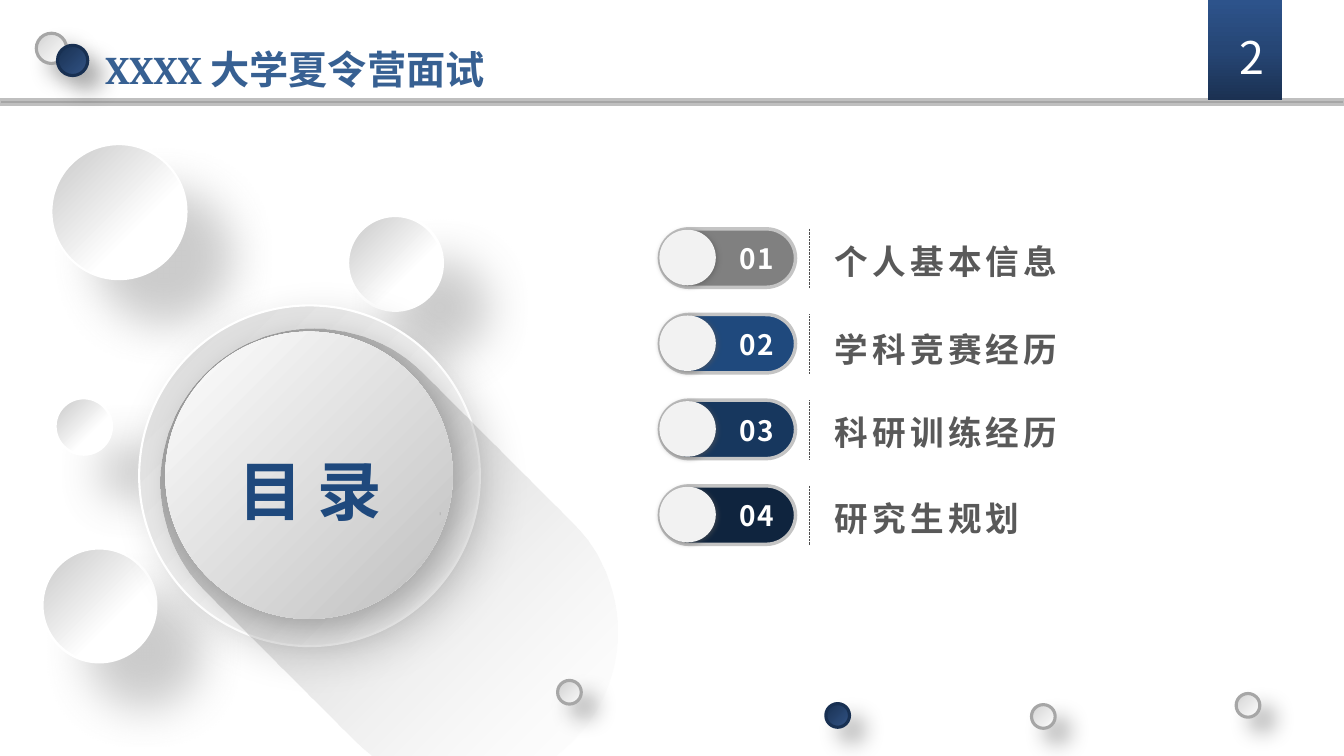
from lxml import etree
from pptx import Presentation
from pptx import util as u
from pptx.dml.color import RGBColor
from pptx.enum import dml, shapes, text
from pptx.oxml import parse_xml
from pptx.oxml.ns import nsdecls, qn

Inches, Pt = u.Inches, u.Pt
SHAPE = shapes.MSO_SHAPE
ALIGN = text.PP_ALIGN
SANS = "Noto Sans CJK SC"

LIGHT = [(0, "FFFFFF"), (100, "D3D3D3")]
DARK = [(0, "335485"), (100, "183052")]
PEARL = [(0, "FFFFFF"), (36, "FFFFFF"), (100, "C7C7C7")]
DOT_SHADOW = ("000000", 31, 16, 14)
PEARL_SHADOW = ("808080", 40, 33, 45)
KNOB_SHADOW = ("595959", 60, 4, 1)

# left, top, diameter, stops, rim colour
DOTS = [
    (0.36, 0.33, 0.3, LIGHT, "A6A6A6"),
    (0.57, 0.45, 0.3, DARK, "183052"),
    (5.53, 6.75, 0.235, LIGHT, "A6A6A6"),
    (10.23, 6.99, 0.235, LIGHT, "A6A6A6"),
    (8.19, 6.98, 0.235, DARK, "183052"),
    (12.26, 6.88, 0.235, LIGHT, "A6A6A6"),
]
# left, top, diameter, rim width
PEARLS = [
    (0.51, 1.43, 1.34, 1.5),
    (3.45, 2.14, 0.94, 2),
    (0.42, 5.44, 1.13, 1.75),
    (0.55, 3.95, 0.56, 1.75),
]
# heading, heading top, heading width, pill colour
CHAPTERS = [
    ("个人基本信息", 2.34, 2.47, "808080"),
    ("学科竞赛经历", 3.21, 2.47, "1F497D"),
    ("科研训练经历", 4.04, 2.47, "17375E"),
    ("研究生规划", 4.89, 2.1, "0F243E"),
]
FIRST_ROW, ROW_STEP = 2.27, 0.85


def rgb(hex_colour):
    return RGBColor.from_string(hex_colour)


def colour_xml(hex_colour, alpha=100):
    return f'<a:srgbClr val="{hex_colour}"><a:alpha val="{alpha * 1000}"/></a:srgbClr>'


def set_gradient(shape, stops, angle):
    """Stops are (position, colour[, opacity]); the angle runs clockwise."""
    shape.fill.background()
    stop_xml = "".join(
        f'<a:gs pos="{pos * 1000}">{colour_xml(*colour)}</a:gs>' for pos, *colour in stops)
    gradient = parse_xml(
        f'<a:gradFill {nsdecls("a")} rotWithShape="1"><a:gsLst>{stop_xml}</a:gsLst>'
        f'<a:lin ang="{angle * 60000}" scaled="0"/></a:gradFill>')
    properties = shape.element.spPr
    properties.replace(properties.find(qn("a:noFill")), gradient)


def set_shadow(shape, colour, alpha, blur, distance):
    effects = shape.element.spPr.find(qn("a:effectLst"))
    effects.append(parse_xml(
        f'<a:outerShdw {nsdecls("a")} blurRad="{Pt(blur)}" dist="{Pt(distance)}" '
        f'dir="2700000" algn="tl" rotWithShape="0">{colour_xml(colour, alpha)}</a:outerShdw>'))


def add_form(slide, kind, box, fill, angle=0, rim=None, shadow=None, rotation=0):
    """Fill is a hex colour or a list of gradient stops; rim is (colour, points)."""
    form = slide.shapes.add_shape(kind, *map(Inches, box))
    form.rotation = rotation
    form.shadow.inherit = False
    if kind == SHAPE.ROUNDED_RECTANGLE:
        form.adjustments[0] = 0.5
    if isinstance(fill, str):
        form.fill.solid()
        form.fill.fore_color.rgb = rgb(fill)
    else:
        set_gradient(form, fill, angle)
    if rim:
        form.line.color.rgb = rgb(rim[0])
        form.line.width = Pt(rim[1])
    else:
        form.line.fill.background()
    if shadow:
        set_shadow(form, *shadow)


def add_text(slide, box, words, size, colour, font=SANS, bold=True, align=ALIGN.CENTER,
             spacing=None, tracking=0, wrap=False, grow=True):
    frame = slide.shapes.add_textbox(*map(Inches, box)).text_frame
    frame.word_wrap = wrap
    if grow:
        frame.auto_size = text.MSO_AUTO_SIZE.SHAPE_TO_FIT_TEXT
    else:
        frame.vertical_anchor = text.MSO_ANCHOR.MIDDLE
    paragraph = frame.paragraphs[0]
    paragraph.alignment = align
    if spacing:
        paragraph.line_spacing = spacing
    run = paragraph.add_run()
    run.text = words
    run.font.size = Pt(size)
    run.font.bold = bold
    run.font.color.rgb = rgb(colour)
    run.font.name = font
    run_properties = run.font._element
    etree.SubElement(run_properties, qn("a:ea")).set("typeface", SANS)
    if tracking:
        run_properties.set("spc", str(int(tracking * 100)))


def add_divider(slide, x, top, height):
    divider = slide.shapes.add_connector(
        shapes.MSO_CONNECTOR.STRAIGHT, *map(Inches, (x, top, x, top + height)))
    divider.line.color.rgb = rgb("4D4D4D")
    divider.line.width = Pt(0.5)
    divider.line.dash_style = dml.MSO_LINE.ROUND_DOT
    etree.SubElement(divider.element.spPr, qn("a:effectLst"))


def add_speck(slide):
    outline = slide.shapes.build_freeform(Inches(4.36), Inches(5.08), scale=1.0)
    corners = [(4.38, 5.09), (4.37, 5.11), (4.36, 5.11)]
    outline.add_line_segments([(Inches(x), Inches(y)) for x, y in corners])
    speck = outline.convert_to_shape()
    speck.shadow.inherit = False
    set_gradient(speck, [(0, "A6A6A6", 50), (100, "A6A6A6", 50)], 0)
    speck.line.fill.background()


def add_header(slide):
    add_form(slide, SHAPE.RECTANGLE, (0, 0.99, 13.33, 0.05), "A6A6A6", rim=("BFBFBF", 2))
    add_form(slide, SHAPE.RECTANGLE, (11.98, 0, 0.74, 0.99),
             [(0, "1B3152"), (50, "264675"), (100, "2D538B")], 270)
    add_text(slide, (12.19, 0.41, 0.31, 0.3), "2", 32, "FFFFFF", bold=False,
             wrap=True, grow=False)
    for left, top, size, stops, rim in DOTS:
        add_form(slide, SHAPE.OVAL, (left, top, size, size), stops, 135, (rim, 2.25),
                 DOT_SHADOW, rotation=90)
    add_text(slide, (0.83, 0.17, 4.19, 0.72), "XXXX 大学夏令营面试", 28, "376092",
             font="Cambria", spacing=1.5, wrap=True)


def add_contents_disc(slide):
    for left, top, size, rim_width in PEARLS:
        add_form(slide, SHAPE.OVAL, (left, top, size, size), PEARL, 225,
                 ("FFFFFF", rim_width), PEARL_SHADOW)
    add_form(slide, SHAPE.OVAL, (1.38, 3.03, 3.38, 3.38), [(0, "D9D9D9"), (100, "FFFFFF")],
             45, ("FFFFFF", 1.5), ("000000", 15, 29, 11))
    add_form(slide, SHAPE.ROUNDED_RECTANGLE, (1.29, 4, 5.14, 3.05),
             [(0, "000000", 40), (100, "F2F2F2", 0)], rotation=45)
    add_form(slide, SHAPE.OVAL, (1.64, 3.29, 2.85, 2.85), [(0, "FFFFFF"), (100, "BFBFBF")],
             45, shadow=("000000", 25, 24, 10))
    add_speck(slide)
    add_text(slide, (2.25, 4.04, 1.65, 1.12), "目 录", 46, "1F497D",
             font="Times New Roman", spacing=1.5)


def add_chapter(slide, number, heading, heading_top, heading_width, colour):
    top = FIRST_ROW + (number - 1) * ROW_STEP
    add_divider(slide, 8.03, top, 0.59)
    add_form(slide, SHAPE.ROUNDED_RECTANGLE, (6.54, top, 1.35, 0.58), colour,
             rim=("C4C4C4", 2.5))
    add_form(slide, SHAPE.ROUNDED_RECTANGLE, (6.54, top + 0.01, 0.56, 0.55), "F2F2F2",
             shadow=KNOB_SHADOW)
    add_text(slide, (7.22, top + 0.08, 0.57, 0.44), f"{number:02}", 20, "FFFFFF", tracking=0.8)
    add_text(slide, (8.18, heading_top, heading_width, 0.5), heading, 24, "595959",
             align=ALIGN.LEFT, tracking=3)


def main():
    deck = Presentation()
    deck.slide_width, deck.slide_height = Inches(13.33), Inches(7.5)
    slide = deck.slides.add_slide(deck.slide_layouts[6])
    add_header(slide)
    add_contents_disc(slide)
    for number, chapter in enumerate(CHAPTERS, 1):
        add_chapter(slide, number, *chapter)
    deck.save("out.pptx")


if __name__ == "__main__":
    main()
